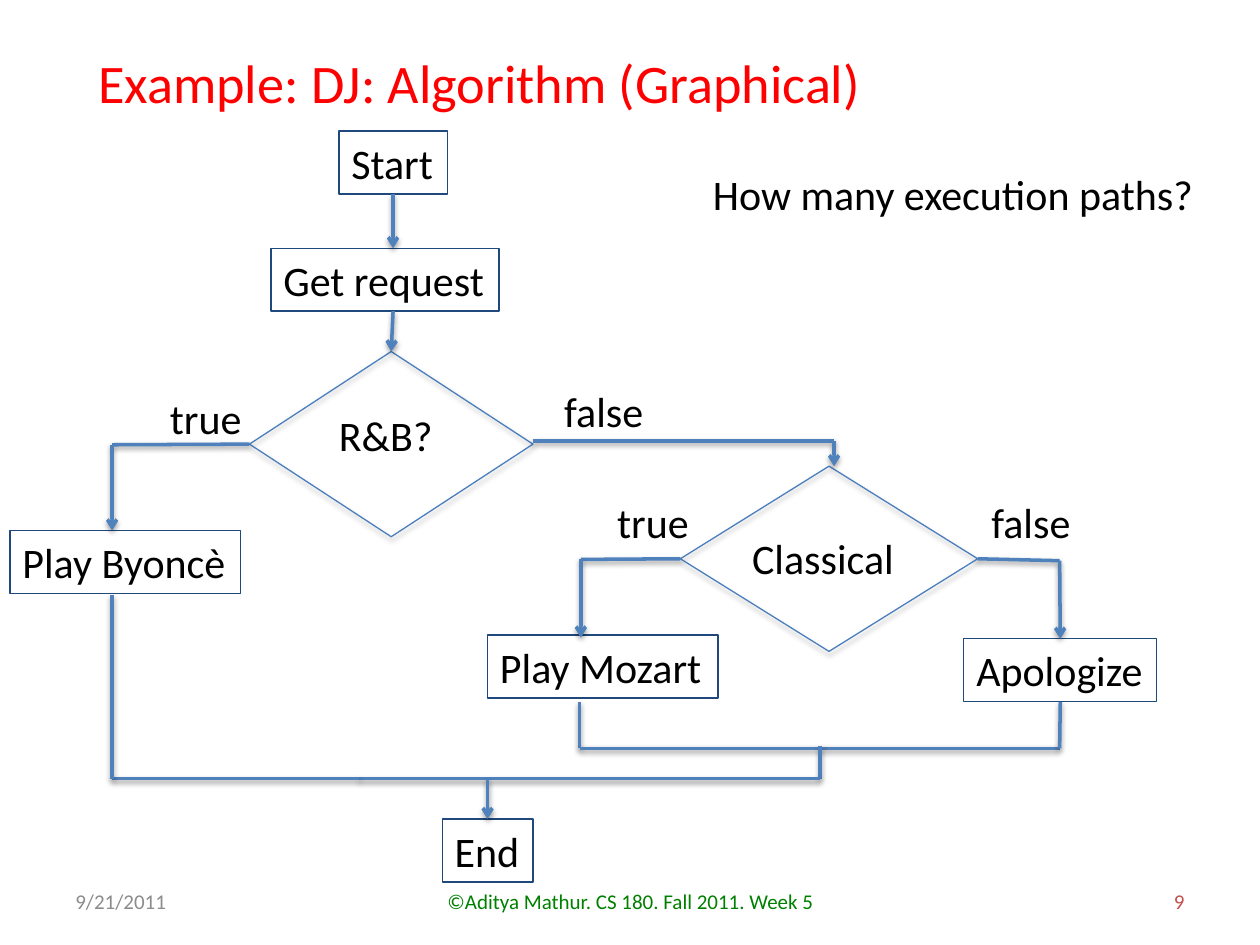
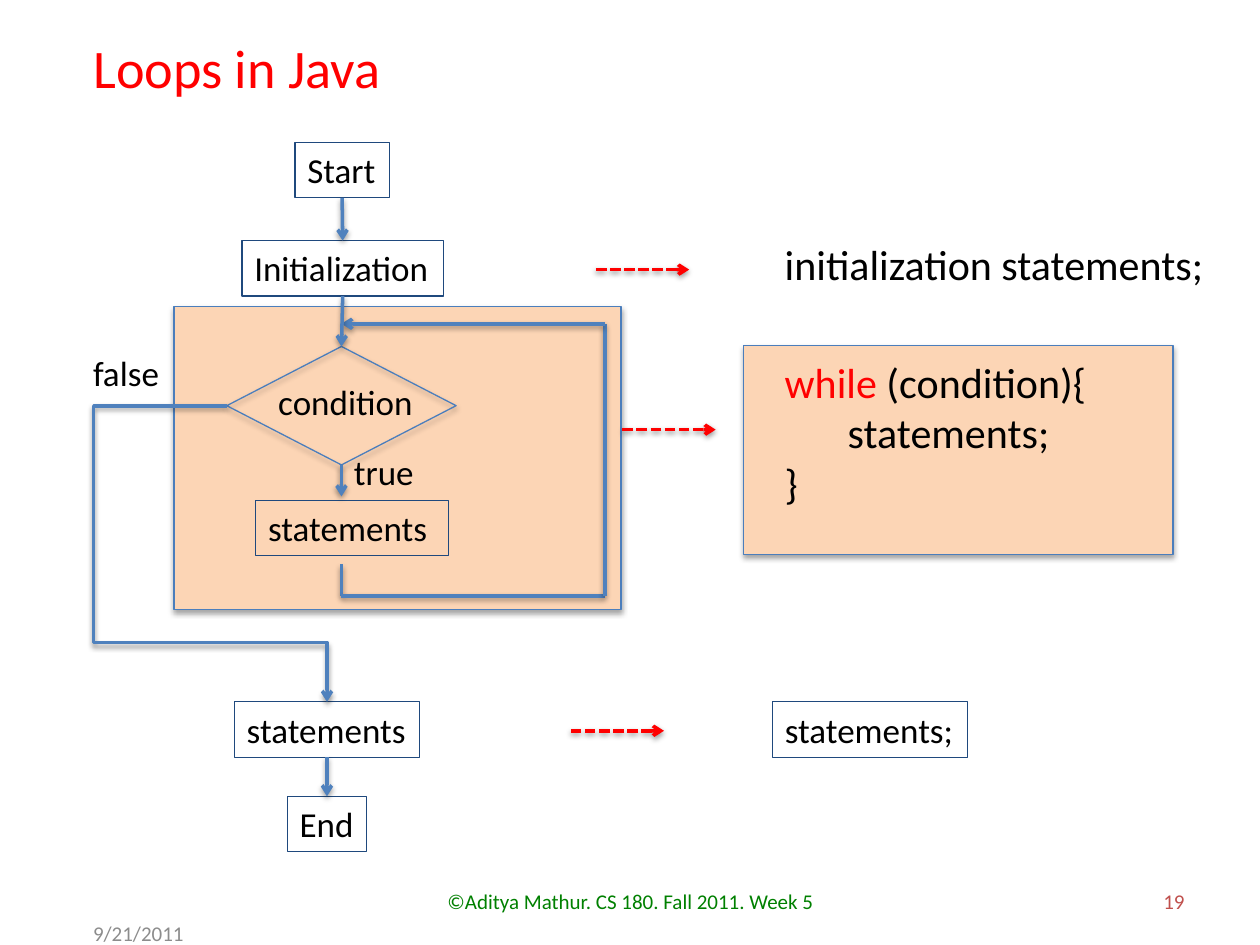
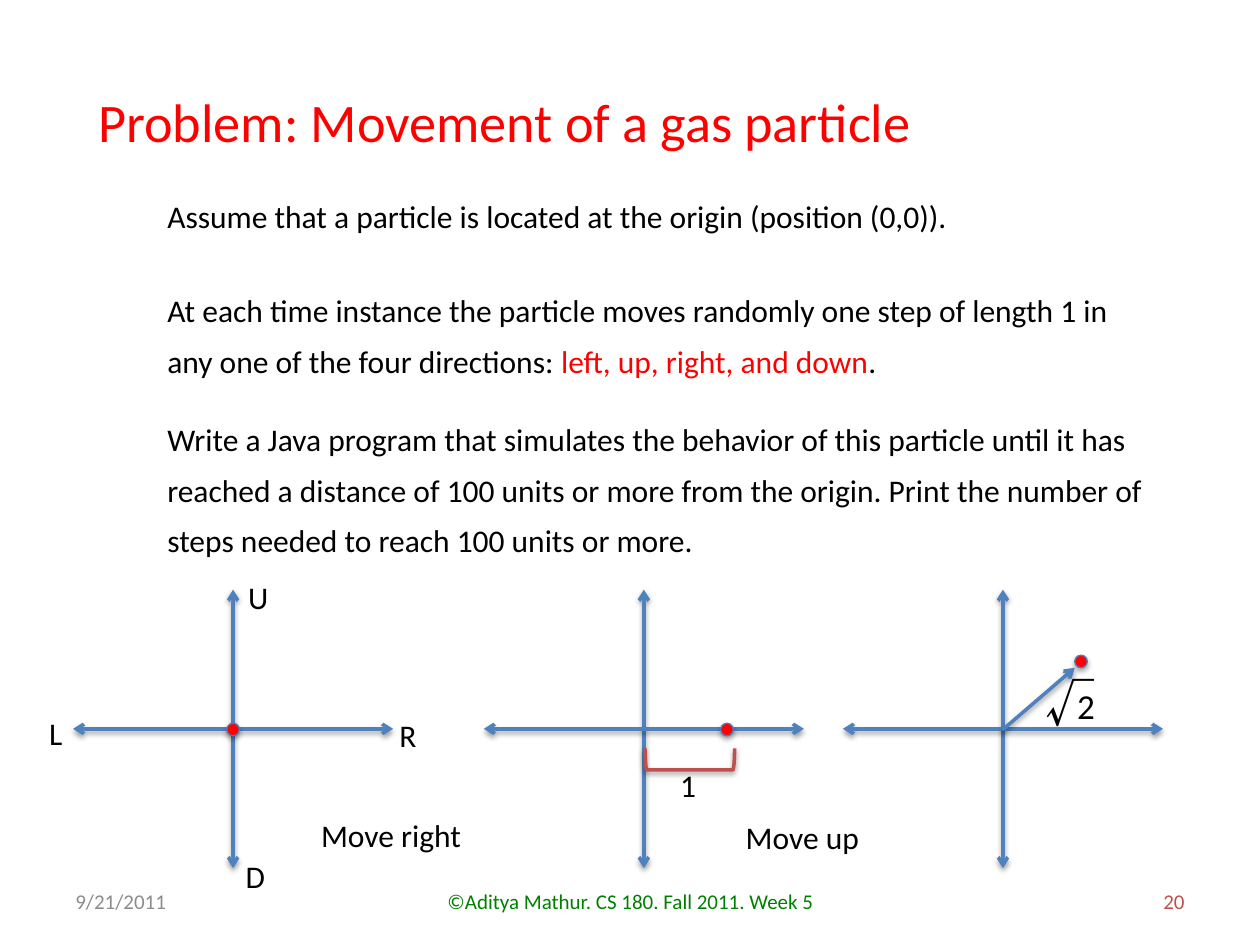
from dataclasses import dataclass
from itertools import pairwise

from lxml.etree import SubElement
from pptx import Presentation
from pptx.dml.color import RGBColor
from pptx.enum.dml import MSO_LINE
from pptx.enum.shapes import MSO_CONNECTOR, MSO_SHAPE
from pptx.enum.text import MSO_ANCHOR, MSO_AUTO_SIZE, PP_ALIGN
from pptx.oxml.ns import qn
from pptx.shapes.base import BaseShape
from pptx.util import Inches, Pt

COLUMNS, ROWS = 100, 75
CELL = Inches(0.1)
FONT = "Calibri"
BLACK, RED, GREEN, GRAY, BRICK = "000000", "FF0000", "008000", "8C8C8C", "C0504D"
BLUE, EDGE, NAVY, PEACH = "4F81BD", "4B7EBC", "1F497D", "FCD5B5"
TOP, LEFT, BOTTOM, RIGHT = range(4)
LINE_SHADOW, SHAPE_SHADOW = (1.6, 38), (1.8, 35)


@dataclass
class Box:
    """A region measured in grid columns and rows."""

    left: float
    top: float
    width: float
    height: float

    def area(self, left, top, width, height):
        """Return a box placed relative to this one."""
        return Box(self.left + left, self.top + top, width, height)

    def point(self, column, row):
        """Return a point of this box in slide units."""
        return emu(self.left + column), emu(self.top + row)

    def frame(self):
        """Return left, top, width and height in slide units."""
        return [emu(cells) for cells in (self.left, self.top, self.width, self.height)]


SLIDE = Box(0, 0, COLUMNS, ROWS)


def emu(cells):
    """Convert grid cells to slide units."""
    return round(cells * CELL)


def rgb(value):
    """Turn a hex string into a colour."""
    return RGBColor.from_string(value)


def cast_shadow(item, distance, alpha):
    """Give a shape or connector a soft shadow below it."""
    properties = item._element.spPr
    effects = properties.find(qn("a:effectLst"))
    if effects is None:
        effects = SubElement(properties, qn("a:effectLst"))
    shadow = SubElement(effects, qn("a:outerShdw"), blurRad=str(Pt(3.1)),
                        dist=str(Pt(distance)), dir="5400000", rotWithShape="0")
    tint = SubElement(shadow, qn("a:srgbClr"), val=BLACK)
    SubElement(tint, qn("a:alpha"), val=str(alpha * 1000))


def write(page, box, paragraphs, size, color=BLACK, outline=False, wrap=False, grow=True,
          align=PP_ALIGN.LEFT, spacing=None, font=FONT):
    """Add a text box whose paragraphs are strings or lists of coloured spans."""
    label = page.shapes.add_textbox(*box.frame())
    frame = label.text_frame
    frame.word_wrap = wrap
    frame.auto_size = MSO_AUTO_SIZE.SHAPE_TO_FIT_TEXT if grow else MSO_AUTO_SIZE.NONE
    frame.vertical_anchor = MSO_ANCHOR.TOP if grow else MSO_ANCHOR.MIDDLE
    for index, spans in enumerate(paragraphs):
        para = frame.add_paragraph() if index else frame.paragraphs[0]
        para.alignment = align
        if spacing:
            para.line_spacing = Pt(spacing)
        para.font.name, para.font.size = font, Pt(size)
        para.font.color.rgb = rgb(color)
        for text, tint in [(spans, color)] if isinstance(spans, str) else spans:
            span = para.add_run()
            span.text = text
            if tint != color:
                span.font.color.rgb = rgb(tint)
    if outline:
        label.line.color.rgb = rgb(NAVY)
        label.line.width = Pt(0.75)
    return label


def draw(page, box, kind, fill=None, line=EDGE, weight=0.75, shadow=SHAPE_SHADOW):
    """Add a preset shape with a shadow."""
    shape = page.shapes.add_shape(kind, *box.frame())
    shape.shadow.inherit = False
    if fill:
        shape.fill.solid()
        shape.fill.fore_color.rgb = rgb(fill)
    else:
        shape.fill.background()
    shape.line.color.rgb = rgb(line)
    shape.line.width = Pt(weight)
    cast_shadow(shape, *shadow)
    return shape


def link(page, start, end, color=BLUE, head=False, tail=True, dashed=False,
         kind=MSO_CONNECTOR.STRAIGHT):
    """Join two places, each a point or a shape with one of its sides."""
    glued = [isinstance(place[0], BaseShape) for place in (start, end)]
    first, last = [(0, 0) if joint else place for joint, place in zip(glued, (start, end))]
    connector = page.shapes.add_connector(kind, *first, *last)
    if glued[0]:
        connector.begin_connect(*start)
    if glued[1]:
        connector.end_connect(*end)
    connector.line.color.rgb = rgb(color)
    connector.line.width = Pt(2)
    if dashed:
        connector.line.dash_style = MSO_LINE.SQUARE_DOT
    outline = connector._element.spPr.find(qn("a:ln"))
    for wanted, tag in ((head, "a:headEnd"), (tail, "a:tailEnd")):
        if wanted:
            SubElement(outline, qn(tag), type="arrow")
    cast_shadow(connector, *LINE_SHADOW)
    return connector


def trace(page, *places, tail=False):
    """Join places one after another, with an arrow on the last if asked."""
    for index, (start, end) in enumerate(pairwise(places), 2):
        link(page, start, end, tail=tail and index == len(places))


def bend(page, start, end, across, down):
    """Join two shapes with a four-part elbow."""
    connector = link(page, start, end, kind=MSO_CONNECTOR.ELBOW)
    geometry = connector._element.spPr.find(qn("a:prstGeom"))
    geometry.set("prst", "bentConnector4")
    guides = geometry.find(qn("a:avLst"))
    for name, share in (("adj1", across), ("adj2", down)):
        SubElement(guides, qn("a:gd"), name=name, fmla=f"val {round(share * 100000)}")
    transform = connector._element.spPr.find(qn("a:xfrm"))
    for name, value in (("rot", "10800000"), ("flipH", "1"), ("flipV", "1")):
        transform.set(name, value)


def start_page(deck, title, box, number, date_spot=(5, 69.5)):
    """Add a slide with its title and footers."""
    page = deck.slides.add_slide(deck.slide_layouts[5])
    heading = page.shapes.title
    heading.left, heading.top, heading.width, heading.height = box.frame()
    frame = heading.text_frame
    frame.text = title
    frame.auto_size = MSO_AUTO_SIZE.NONE
    frame.vertical_anchor = MSO_ANCHOR.TOP
    para = frame.paragraphs[0]
    para.alignment = PP_ALIGN.LEFT
    para.font.name, para.font.size = FONT, Pt(31)
    para.font.color.rgb = rgb(RED)
    credit = "©Aditya Mathur. CS 180. Fall 2011. Week 5"
    for place, text, color, align in (
        (SLIDE.area(*date_spot, 23.3, 4), "9/21/2011", GRAY, PP_ALIGN.LEFT),
        (SLIDE.area(34.2, 69.5, 31.7, 4), credit, GREEN, PP_ALIGN.CENTER),
        (SLIDE.area(71.7, 69.5, 23.3, 4), number, BRICK, PP_ALIGN.RIGHT),
    ):
        write(page, place, [text], 12, color, wrap=True, grow=False, align=align)
    return page


def player_chart(page, box):
    """Draw the flowchart that chooses the music to play."""
    start, request, finish, beyonce, mozart, apology = [
        write(page, box.area(*place), [text], 24, outline=True)
        for text, place in (
            ("Start", (26.9, 10.4, 8.6, 5)),
            ("Get request", (21.5, 19.7, 18.1, 5)),
            ("End", (35.1, 65, 7.2, 5)),
            ("Play Byoncè", (0.8, 42.1, 18.3, 5)),
            ("Play Mozart", (38.7, 50.4, 18.3, 5)),
            ("Apologize", (76.5, 50.7, 15.3, 5)),
        )
    ]
    for text, place in (
        ("true", (12.5, 30.7, 7.8, 5)),
        ("false", (43.8, 30.1, 8.4, 5)),
        ("R&B?", (25.9, 32, 9.5, 5)),
        ("Classical", (58.7, 41.8, 17.2, 5)),
        ("true", (48, 38.9, 7.8, 5)),
        ("false", (77.7, 38.9, 8.4, 5)),
        ("How many execution paths?", (55.6, 12.9, 40.5, 5)),
    ):
        write(page, box.area(*place), [text], 24)
    rhythm = draw(page, box.area(19.8, 27.9, 22.5, 14.7), MSO_SHAPE.DIAMOND)
    classical = draw(page, box.area(54, 37, 23.6, 14.7), MSO_SHAPE.DIAMOND)
    spot = box.point
    link(page, (start, BOTTOM), spot(31.2, 19.7))
    link(page, spot(31.2, 24.7), (rhythm, TOP))
    trace(page, (rhythm, LEFT), spot(8.9, 35.3), spot(8.9, 42.1), tail=True)
    trace(page, spot(42.3, 35), spot(66.2, 35), spot(66.2, 37), tail=True)
    trace(page, (classical, LEFT), spot(46.1, 44.4), spot(46.1, 50.6), tail=True)
    trace(page, (classical, RIGHT), spot(84.1, 44.5), (apology, TOP), tail=True)
    trace(page, spot(46, 55.7), spot(46, 59.4), spot(65.6, 59.4), spot(84.1, 59.4),
          (apology, BOTTOM))
    trace(page, spot(65.1, 59.2), spot(65.1, 61.8), spot(28.5, 61.8), spot(8.9, 61.8),
          spot(8.9, 47.2))
    link(page, spot(38.7, 61.8), (finish, TOP))


def loop_panel(page, box):
    """Draw the repeated part of the loop and return its condition."""
    draw(page, box, MSO_SHAPE.RECTANGLE, PEACH)
    write(page, box.area(7.3, 5.4, 14.8, 4.4), ["condition"], 20, wrap=True)
    write(page, box.area(13.3, 11, 6.8, 4.4), ["true"], 20)
    write(page, box.area(6.5, 15.4, 15.3, 4.4), ["statements"], 20, outline=True, wrap=True)
    condition = draw(page, box.area(4.2, 3.2, 18.2, 9.4), MSO_SHAPE.DIAMOND)
    link(page, (condition, BOTTOM), box.point(13.3, 15.1))
    trace(page, *[box.point(*spot) for spot in
                  ((13.3, 20.5), (13.3, 23), (34.2, 23), (34.2, 1.4), (13.3, 1.4))], tail=True)
    return condition


def code_panel(page, box):
    """Show the loop as code."""
    draw(page, box, MSO_SHAPE.RECTANGLE, PEACH)
    code = write(page, box.area(2.3, 0.4, 35.6, 13.1),
                 [[("while", RED), (" (condition){", BLACK)], "statements;", "}"], 24, wrap=True)
    indented = code.text_frame.paragraphs[1]
    indented._p.get_or_add_pPr().set("marL", str(emu(5)))


def loop_chart(page, box):
    """Draw the loop flowchart beside the matching code."""
    condition = loop_panel(page, box.area(13.8, 24.3, 35.5, 24.1))
    code_panel(page, box.area(59, 27.4, 34.1, 16.6))
    start, setup, after, finish, _ = [
        write(page, box.area(*place), [text], 20, outline=True)
        for text, place in (
            ("Start", (23.4, 11.3, 7.5, 4.4)),
            ("Initialization", (19.2, 19.1, 16, 4.4)),
            ("statements", (18.6, 55.7, 14.7, 4.4)),
            ("End", (22.8, 63.2, 6.3, 4.4)),
            ("statements;", (61.3, 55.7, 15.5, 4.4)),
        )
    ]
    write(page, box.area(6.4, 27.4, 7.3, 4.4), ["false"], 20)
    write(page, box.area(61.3, 18.4, 35.6, 5), ["initialization statements;"], 24)
    for above, below in ((start, setup), (setup, condition), (after, finish)):
        link(page, (above, BOTTOM), (below, TOP))
    bend(page, (condition, LEFT), (after, TOP), -1.33, 0.8)
    for column, row in ((47.3, 21.4), (49.4, 34.1), (45.3, 58)):
        link(page, box.point(column, row), box.point(column + 7.4, row), RED, dashed=True)


def axes(page, box, column, row):
    """Draw crossed axes with the particle centred on a column and row."""
    middle, level = box.width / 2, box.height / 2
    link(page, box.point(middle, 0), box.point(middle, box.height), head=True)
    link(page, box.point(0, level), box.point(box.width, level), head=True)
    draw(page, box.area(column - 0.5, row - 0.5, 1, 1), MSO_SHAPE.OVAL, RED)


def origin_panel(page, box):
    """Show the particle at the origin and the four directions."""
    axes(page, box, 12.7, 11.1)
    for letter, column, row in (("D", 13.2, 20.7), ("R", 25.4, 9.5),
                                ("U", 13.4, -1.4), ("L", -2.4, 9.4)):
        label = write(page, box.area(column, row, 2.2, 4), [letter], 18)
        label.text_frame.margin_left, label.text_frame.margin_right = emu(0.5), 0


def right_panel(page, box):
    """Show the particle after one step to the right."""
    axes(page, box, 19.3, 11.1)
    write(page, box.area(14.6, 13.5, 3.3, 4), ["1"], 18)
    bracket = draw(page, box.area(15.5, 9.9, 1.7, 7.1), MSO_SHAPE.LEFT_BRACKET,
                   line=BRICK, weight=2, shadow=LINE_SHADOW)
    bracket.rotation = 270
    write(page, box.area(-13.9, 17.5, 13.3, 4), ["Move right"], 18)


def up_panel(page, box):
    """Show the particle after a further step up."""
    axes(page, box, 18.9, 5.7)
    link(page, box.point(12.7, 11.1), box.point(18.4, 6.2))
    write(page, box.area(15.1, 6.2, 5.9, 5.7), ["√"], 28, font="Noto Sans CJK JP")
    write(page, box.area(17.6, 7, 3.4, 4.4), ["2"], 20)
    write(page, box.area(-8.7, 17.6, 11.1, 4), ["Move up"], 18)


def problem_text(page, box):
    """State the problem in three blocks."""
    for row, height, spans in (
        (0, 4.9, "Assume that a particle is located at the origin (position (0,0))."),
        (7.5, 9, [("At each time instance the particle moves randomly one step of length 1 "
                   "in any one of the four directions:", BLACK),
                  (" left, up, right, and down", RED), (".", BLACK)]),
        (17.7, 13, "Write a Java program that simulates the behavior of this particle until "
                   "it has reached a distance of 100 units or more from the origin. Print the "
                   "number of steps needed to reach 100 units or more."),
    ):
        write(page, box.area(0, row, box.width, height), [spans], 18, wrap=True, spacing=29)


def main():
    """Build the three slides and save them."""
    deck = Presentation()
    deck.slide_width, deck.slide_height = emu(COLUMNS), emu(ROWS)

    page = start_page(deck, "Example: DJ: Algorithm (Graphical)", Box(6.8, 3.4, 83.6, 6.2), "9")
    player_chart(page, SLIDE)

    page = start_page(deck, "Loops in Java", Box(6.4, 2.2, 83.6, 6.2), "19", (6.4, 72.1))
    loop_chart(page, SLIDE)

    page = start_page(deck, "Problem: Movement of a gas particle", Box(6.8, 6.5, 83.6, 6.2), "20")
    problem_text(page, SLIDE.area(12.3, 14.1, 80, 30.7))
    for panel, column in ((origin_panel, 5.8), (right_panel, 38.4), (up_panel, 66.9)):
        panel(page, SLIDE.area(column, 46.8, 25.4, 22.1))

    deck.save("out.pptx")


if __name__ == "__main__":
    main()
